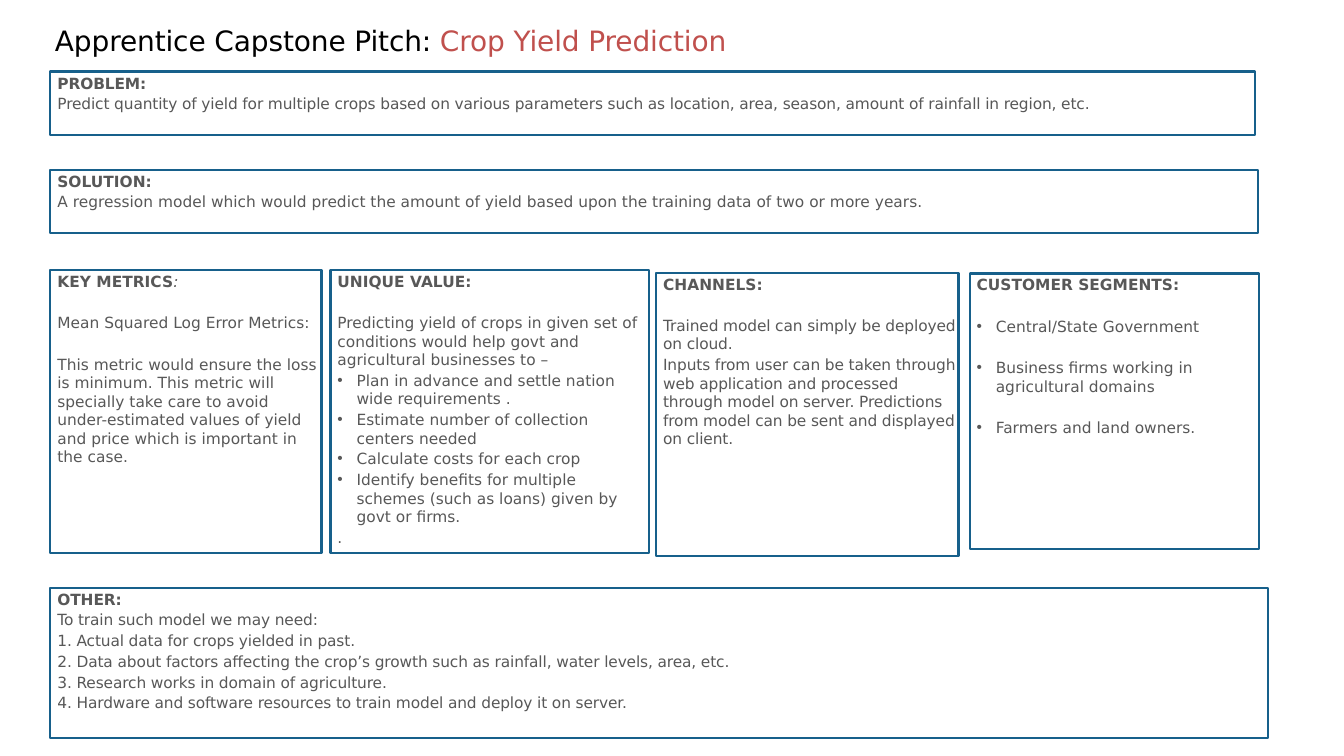
"""Build the one-page capstone pitch slide on crop yield prediction."""
from dataclasses import dataclass

from pptx import Presentation
from pptx.dml.color import RGBColor as Color
from pptx.enum.shapes import MSO_SHAPE as Shape
from pptx.enum.text import MSO_ANCHOR as Anchor, MSO_AUTO_SIZE as AutoSize, PP_ALIGN as Align
from pptx.oxml.ns import qn
from pptx.util import Pt
from lxml.etree import SubElement


@dataclass(frozen=True)
class Theme:
    """Fonts, colours, type sizes and spacing of the slide."""
    font: str = "DejaVu Sans"
    title: str = "000000"
    accent: str = "C0504D"
    body: str = "585858"
    border: str = "17608B"
    title_size: float = 20
    body_size: float = 11
    border_width: float = 1.56
    inset: float = 5
    bullet_left: float = 18.7
    bullet_hang: float = 13.7
    tight: float = 1.6
    loose: float = 16.3


def write(paragraph, text, font="DejaVu Sans", size=11, color="585858",
          bold=False, italic=False, spacing=0):
    """Add a formatted run to a paragraph; spacing is in points."""
    run = paragraph.add_run()
    run.text = text
    run.font.name = font
    run.font.size = Pt(size)
    run.font.color.rgb = Color.from_string(color)
    run.font.bold = bold
    run.font.italic = italic
    if spacing:
        run.font._element.set("spc", str(round(spacing * 100)))


class PitchSlide:
    """Holds the theme and the slide, and draws each kind of element."""

    def __init__(self, slide, theme):
        """Keep the slide and its theme."""
        self.slide = slide
        self.theme = theme

    def place(self, shape, left, top, width, height, inset_top=0):
        """Move a shape and prepare its text frame."""
        shape.left, shape.top = Pt(left), Pt(top)
        shape.width, shape.height = Pt(width), Pt(height)
        frame = shape.text_frame
        frame.margin_left = frame.margin_right = frame.margin_bottom = 0
        frame.margin_top = Pt(inset_top)
        frame.word_wrap = True
        frame.auto_size = AutoSize.NONE
        frame.vertical_anchor = Anchor.TOP
        return frame

    def title(self, bounds, lead, topic):
        """Fill the title placeholder with a lead and a coloured topic."""
        frame = self.place(self.slide.shapes.title, *bounds)
        frame.margin_left = Pt(1)
        paragraph = frame.paragraphs[0]
        paragraph.alignment = Align.LEFT
        for text, color in ((lead, self.theme.title), (topic, self.theme.accent)):
            write(paragraph, text, self.theme.font, self.theme.title_size, color, spacing=-0.1)

    def line(self, paragraph, runs, loose=False, bullet=False):
        """Format one paragraph and write its (text, format) runs."""
        theme = self.theme
        paragraph.alignment = Align.LEFT
        paragraph.space_before = Pt(theme.loose if loose else theme.tight)
        properties = paragraph._p.get_or_add_pPr()
        properties.set("marL", str(Pt(theme.bullet_left if bullet else theme.inset)))
        properties.set("indent", str(Pt(-theme.bullet_hang if bullet else 0)))
        if bullet:
            SubElement(properties, qn("a:buChar")).set("char", "•")
        else:
            SubElement(properties, qn("a:buNone"))
        for text, style in runs:
            write(paragraph, text, theme.font, theme.body_size, theme.body, **style)

    def box(self, bounds, heading, lines, placeholder=None, suffix="",
            heading_spacing=0, spacing=0):
        """Draw a framed box with a bold heading and (text, options) lines."""
        shape = placeholder or self.slide.shapes.add_shape(Shape.RECTANGLE, 0, 0, 0, 0)
        if placeholder is None:
            shape.shadow.inherit = False
        shape.fill.background()
        shape.line.color.rgb = Color.from_string(self.theme.border)
        shape.line.width = Pt(self.theme.border_width)
        frame = self.place(shape, *bounds, inset_top=1.5)
        runs = [(heading, {"bold": True, "spacing": heading_spacing})]
        if suffix:
            runs.append((suffix, {"italic": True}))
        self.line(frame.paragraphs[0], runs)
        for text, options in lines:
            self.line(frame.add_paragraph(), [(text, {"spacing": spacing})], **options)


PLAIN, LOOSE = {}, {"loose": True}
BULLET, LOOSE_BULLET = {"bullet": True}, {"bullet": True, "loose": True}


def main():
    """Build and save the presentation."""
    presentation = Presentation()
    presentation.slide_width, presentation.slide_height = Pt(960), Pt(540)
    slide = presentation.slides.add_slide(presentation.slide_layouts[3])
    pitch = PitchSlide(slide, Theme())
    value_body, segments_body = slide.placeholders[1], slide.placeholders[2]

    pitch.title((38.2, 16.6, 860.4, 24.5), "Apprentice Capstone Pitch: ", "Crop Yield Prediction")
    pitch.box((36, 51.1, 860.4, 45.4), "PROBLEM:", [
        ("Predict quantity of yield for multiple crops based on various parameters such as "
         "location, area, season, amount of rainfall in region, etc.", PLAIN),
    ], heading_spacing=-0.1, spacing=-0.1)
    pitch.box((36, 121.2, 862.6, 45.4), "SOLUTION:", [
        ("A regression model which would predict the amount of yield based upon the "
         "training data of two or more years.", PLAIN),
    ])
    pitch.box((36, 192.8, 193.7, 202.3), "KEY METRICS", [
        ("Mean Squared Log Error Metrics:", LOOSE),
        ("This metric would ensure the loss is minimum. This metric will specially take care "
         "to avoid under-estimated values of yield and price which is important in the case.",
         LOOSE),
    ], suffix=":")
    pitch.box((236, 192.8, 227.5, 202.3), "UNIQUE VALUE:", [
        ("Predicting yield of crops in given set of conditions would help govt and "
         "agricultural businesses to –", LOOSE),
        ("Plan in advance and settle nation wide requirements .", BULLET),
        ("Estimate number of collection centers needed", BULLET),
        ("Calculate costs for each crop", BULLET),
        ("Identify benefits for multiple schemes (such as loans) given by govt or firms.", BULLET),
        (".", PLAIN),
    ], placeholder=value_body)
    pitch.box((468.7, 194.7, 216, 202.3), "CHANNELS:", [
        ("Trained model can simply be deployed on cloud.", LOOSE),
        ("Inputs from user can be taken through web application and processed through model "
         "on server. Predictions from model can be sent and displayed on client.", PLAIN),
    ], spacing=-0.1)
    pitch.box((692.6, 195.3, 206.6, 197), "CUSTOMER SEGMENTS:", [
        ("Central/State Government", LOOSE_BULLET),
        ("Business firms working in agricultural domains", LOOSE_BULLET),
        ("Farmers and land owners.", LOOSE_BULLET),
    ], placeholder=segments_body)
    pitch.box((36, 419.8, 869.8, 107.3), "OTHER:", [
        ("To train such model we may need:", PLAIN),
        ("1. Actual data for crops yielded in past.", PLAIN),
        ("2. Data about factors affecting the crop’s growth such as rainfall, water levels, "
         "area, etc.", PLAIN),
        ("3. Research works in domain of agriculture.", PLAIN),
        ("4. Hardware and software resources to train model and deploy it on server.", PLAIN),
    ], heading_spacing=-0.1, spacing=-0.1)
    presentation.save("out.pptx")


if __name__ == "__main__":
    main()
